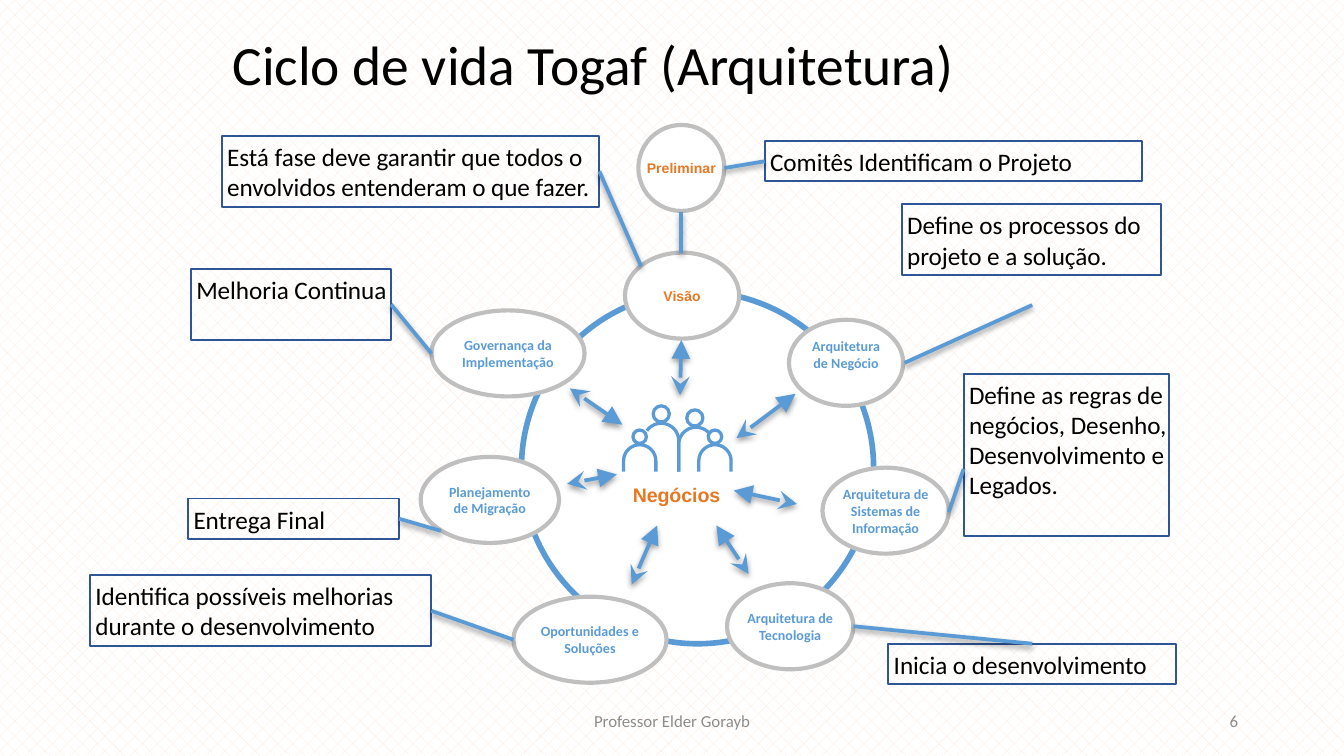
import math
import pptx
import pptx.dml.color
import pptx.enum.dml
import pptx.enum.shapes
import pptx.enum.text
import pptx.oxml
import pptx.oxml.ns
import pptx.util

Inches, Pt = pptx.util.Inches, pptx.util.Pt
SHAPE = pptx.enum.shapes.MSO_SHAPE
ALIGN = pptx.enum.text.PP_ALIGN
ANCHOR = pptx.enum.text.MSO_ANCHOR
TOP, LEFT, BOTTOM, RIGHT = range(4)

COLORS = {"blue": "5B9BD5", "navy": "2F5597", "gray": "BFBFBF", "muted": "8C8C8C",
          "orange": "E87722", "black": "000000", "white": "FFFFFF", "peach": "FCE9DC"}


def rgb(name):
    return pptx.dml.color.RGBColor.from_string(COLORS[name])


def write(sp, text, size, color, font="Calibri", bold=False, align=ALIGN.LEFT,
          anchor=ANCHOR.MIDDLE, inset=0, wrap=True):
    tf = sp.text_frame
    tf.text = text
    tf.word_wrap = wrap
    tf.vertical_anchor = anchor
    tf.margin_left = tf.margin_right = tf.margin_top = tf.margin_bottom = Inches(inset)
    for p in tf.paragraphs:
        p.alignment = align
        for r in p.runs:
            r.font.size, r.font.name, r.font.bold = Pt(size), font, bold
            r.font.color.rgb = rgb(color)
    return tf


def outline(sp, color, width, fill=None):
    sp.shadow.inherit = False
    if fill:
        sp.fill.solid()
        sp.fill.fore_color.rgb = rgb(fill)
    else:
        sp.fill.background()
    sp.line.color.rgb = rgb(color)
    sp.line.width = Pt(width)


def add_shape(s, kind, box, color, width, fill=None):
    sp = s.shapes.add_shape(kind, *map(Inches, box))
    outline(sp, color, width, fill)
    return sp


def add_line(s, start, end, arrows=False):
    cx = s.shapes.add_connector(pptx.enum.shapes.MSO_CONNECTOR.STRAIGHT,
                                *map(Inches, (*start, *end)))
    cx.line.color.rgb = rgb("blue")
    cx.line.width = Pt(2)
    ns = pptx.oxml.ns.nsdecls("a")
    if arrows:
        ln = cx.line._get_or_add_ln()
        for tag, kind in (("headEnd", "triangle"), ("tailEnd", "stealth")):
            ln.append(pptx.oxml.parse_xml(f'<a:{tag} {ns} type="{kind}" w="lg" len="lg"/>'))
    cx._element.spPr.append(pptx.oxml.parse_xml(
        f'<a:effectLst {ns}><a:outerShdw blurRad="{Pt(3)}" dist="{Pt(1.6)}" dir="5400000" '
        'rotWithShape="0"><a:srgbClr val="000000"><a:alpha val="38000"/></a:srgbClr>'
        '</a:outerShdw></a:effectLst>'))
    return cx


def add_title(s, box, text):
    sp = s.shapes.title
    sp.left, sp.top, sp.width, sp.height = map(Inches, box)
    tf = write(sp, text, 29.7, "black", inset=0.1)
    tf.margin_top = tf.margin_bottom = Inches(0.05)
    tf.auto_size = pptx.enum.text.MSO_AUTO_SIZE.NONE
    tf.paragraphs[0].line_spacing = 0.9


def add_footer(s, box, text, align):
    sp = s.shapes.add_textbox(*map(Inches, box))
    write(sp, text, 9, "muted", align=align, inset=0.1)


def add_people(s, x, y):
    heads = [(0.13, 0.24, 0.05), (0.29, 0.07, 0.06), (0.54, 0.1, 0.06), (0.69, 0.24, 0.05)]
    for cx, cy, r in heads:
        add_shape(s, SHAPE.OVAL, (x + cx - r, y + cy - r, 2 * r, 2 * r), "blue", 1.75)
    bodies = [(0.13, 0.42, 0.12, 180, 0), (0.29, 0.27, 0.13, 145, 0),
              (0.55, 0.3, 0.13, 180, 45), (0.69, 0.42, 0.12, 180, 0)]
    foot = 0.5
    for cx, cy, r, first, last in bodies:
        angles = [math.radians(first + (last - first) * i / 24) for i in range(25)]
        points = [(cx + r * math.cos(a), cy - r * math.sin(a)) for a in angles]
        if first == 180:
            points.insert(0, (cx - r, foot))
        if last == 0:
            points.append((cx + r, foot))
        points = [(Inches(x + px), Inches(y + py)) for px, py in points]
        builder = s.shapes.build_freeform(*points[0])
        builder.add_line_segments(points[1:], close=False)
        outline(builder.convert_to_shape(), "blue", 1.75)


def add_wheel(s, x, y):
    add_shape(s, SHAPE.OVAL, (x + 0.75, y + 1.24, 2.62, 2.62), "blue", 3, "white")
    phases = [("Visão", 1.52, 0.95, 0.85), ("Arquitetura\nde Negócio", 2.74, 1.45, 0.85),
              ("Governança da\nImplementação", 0.08, 1.38, 1.14),
              ("Planejamento\nde Migração", 0, 2.47, 1.03),
              ("Oportunidades e\nSoluções", 0.69, 3.51, 1.14),
              ("Arquitetura de\nSistemas de\nInformação", 2.99, 2.55, 0.94),
              ("Arquitetura de\nTecnologia", 2.28, 3.41, 0.94),
              ("Preliminar", 1.62, 0, 0.64)]
    for text, dx, dy, w in phases:
        sp = add_shape(s, SHAPE.OVAL, (x + dx, y + dy, w, 0.64), "gray", 2.25, "white")
        color, font = ("blue", "Calibri") if "\n" in text else ("orange", "Arial")
        tf = write(sp, text, 7.5, color, font, True, ALIGN.CENTER, wrap=False)
        if text.endswith("Negócio"):
            tf.margin_bottom = Inches(0.13)

    add_people(s, x + 1.5, y + 2.08)
    sp = s.shapes.add_textbox(*map(Inches, (x + 1.57, y + 2.66, 0.67, 0.18)))
    write(sp, "Negócios", 10.5, "orange", "Arial", True, ALIGN.CENTER, wrap=False)

    add_line(s, (x + 1.94, y + 0.65), (x + 1.94, y + 0.95))
    arrows = [(1.94, 1.6, 1.93, 2.01), (2.79, 2, 2.35, 2.33), (2.33, 2.72, 2.8, 2.82),
              (2.2, 2.98, 2.44, 3.34), (1.76, 2.98, 1.57, 3.42),
              (1.46, 2.6, 1.09, 2.67), (1.5, 2.23, 1.11, 1.96)]
    for x1, y1, x2, y2 in arrows:
        add_line(s, (x + x1, y + y1), (x + x2, y + y2), arrows=True)


def add_callout(s, box, text, phase, end):
    sp = add_shape(s, SHAPE.RECTANGLE, box, "navy", 1)
    tf = write(sp, text, 13.5, "black", anchor=ANCHOR.TOP, inset=0.04)
    tf.margin_right = Inches(0.01)
    if isinstance(end, tuple):
        add_line(s, phase, end)
    else:
        add_line(s, phase, box[:2]).end_connect(sp, end)


def main():
    prs = pptx.Presentation()
    prs.slide_width, prs.slide_height = Pt(720), Pt(405)
    s = prs.slides.add_slide(prs.slide_layouts[5])
    fill = s.background.fill
    fill.patterned()
    fill.pattern = pptx.enum.dml.MSO_PATTERN.PERCENT_25
    fill.fore_color.rgb, fill.back_color.rgb = rgb("peach"), rgb("white")

    add_title(s, (1.63, 0.25, 7.48, 0.51), "Ciclo de vida Togaf (Arquitetura)")
    add_footer(s, (3.31, 5.21, 3.38, 0.3), "Professor Elder Gorayb", ALIGN.CENTER)
    add_footer(s, (7.06, 5.21, 2.25, 0.3), "6", ALIGN.RIGHT)
    add_wheel(s, 3.13, 0.93)

    callouts = [
        ((5.69, 1.05, 2.81, 0.3), "Comitês Identificam o Projeto", (5.39, 1.25), LEFT),
        ((1.65, 1.01, 2.81, 0.53),
         "Está fase deve garantir que todos o envolvidos entenderam o que fazer.",
         (4.77, 1.98), RIGHT),
        ((6.71, 1.52, 1.93, 0.53), "Define os processos do projeto e a solução.",
         (6.73, 2.7), (7.68, 2.27)),
        ((7.17, 2.78, 1.53, 1.21),
         "Define as regras de negócios, Desenho, Desenvolvimento e Legados.",
         (7.06, 3.81), (7.17, 3.49)),
        ((6.61, 4.79, 2.14, 0.3), "Inicia o desenvolvimento", (6.35, 4.66), TOP),
        ((0.67, 4.28, 2.54, 0.53), "Identifica possíveis melhorias durante o desenvolvimento",
         (3.82, 4.76), RIGHT),
        ((1.4, 3.71, 1.57, 0.3), "Entrega Final", (3.28, 3.95), RIGHT),
        ((1.42, 2, 1.49, 0.53), "Melhoria Continua", (3.21, 2.63), RIGHT),
    ]
    for callout in callouts:
        add_callout(s, *callout)
    prs.save("out.pptx")


if __name__ == "__main__":
    main()
